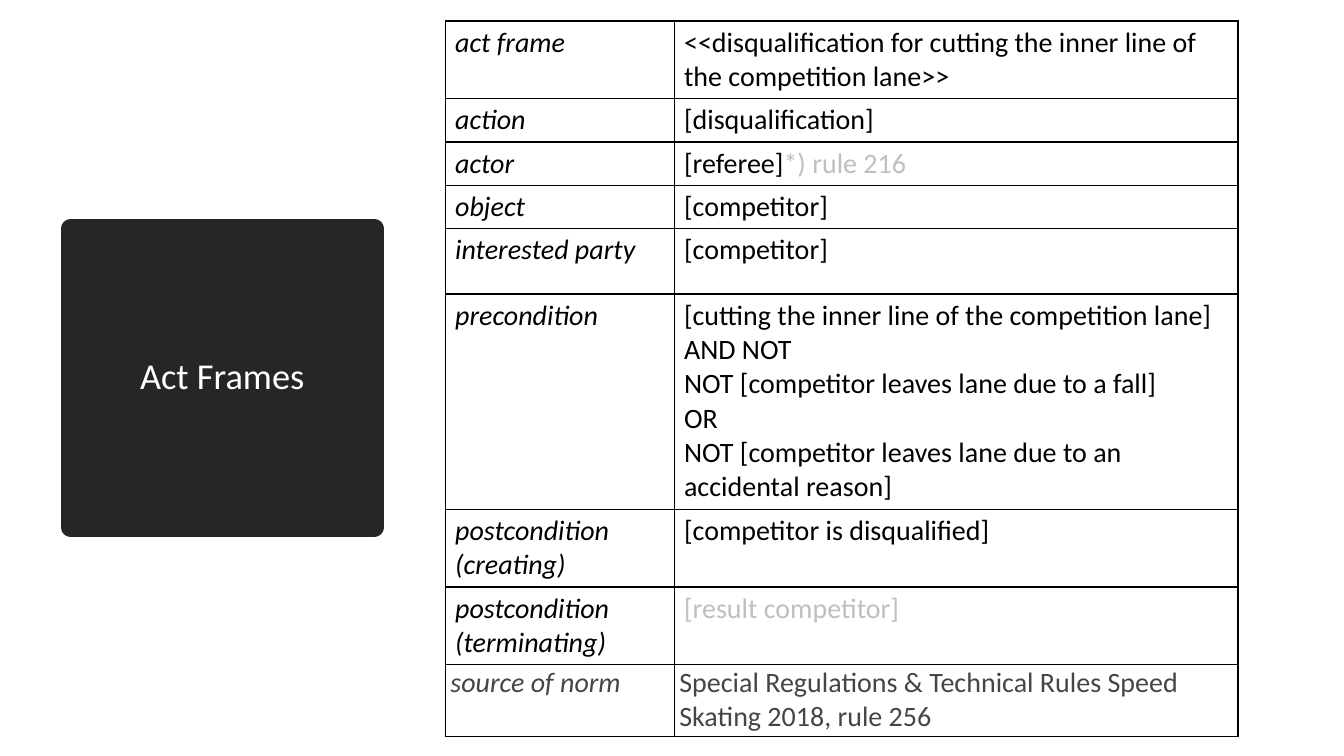
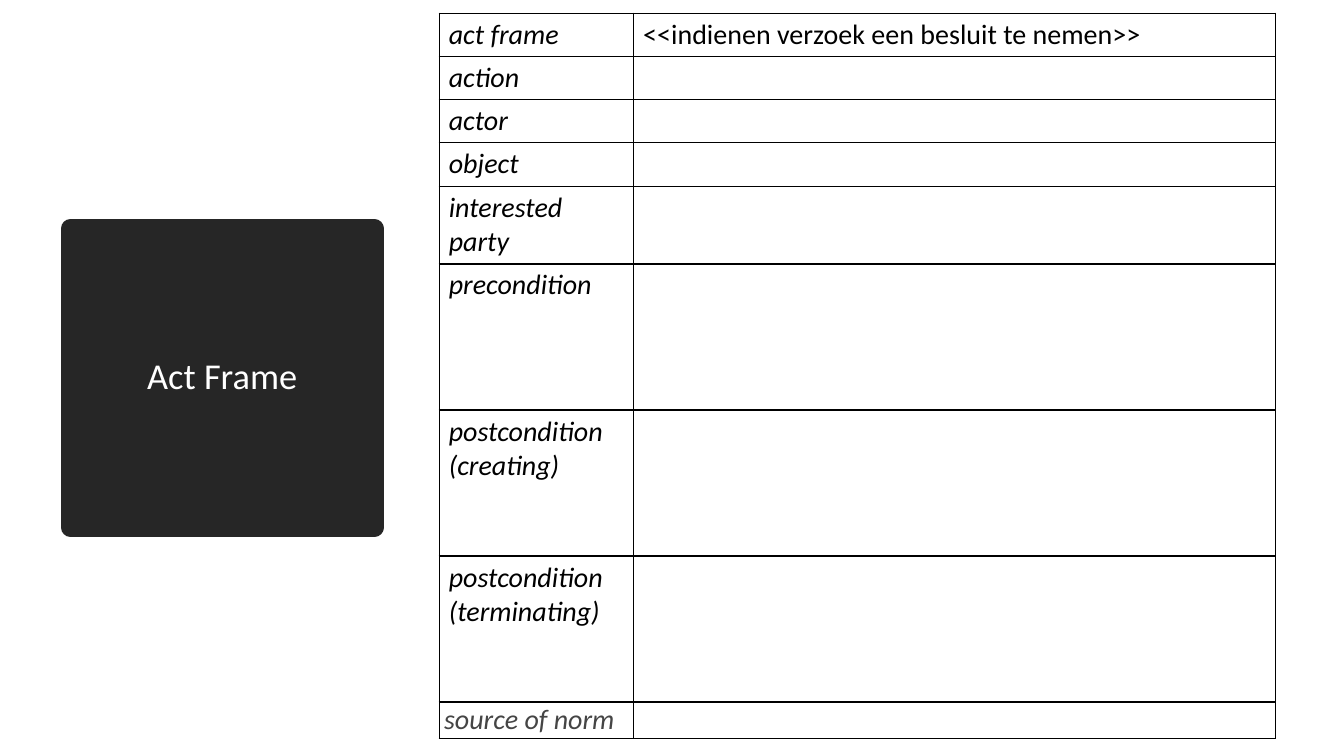
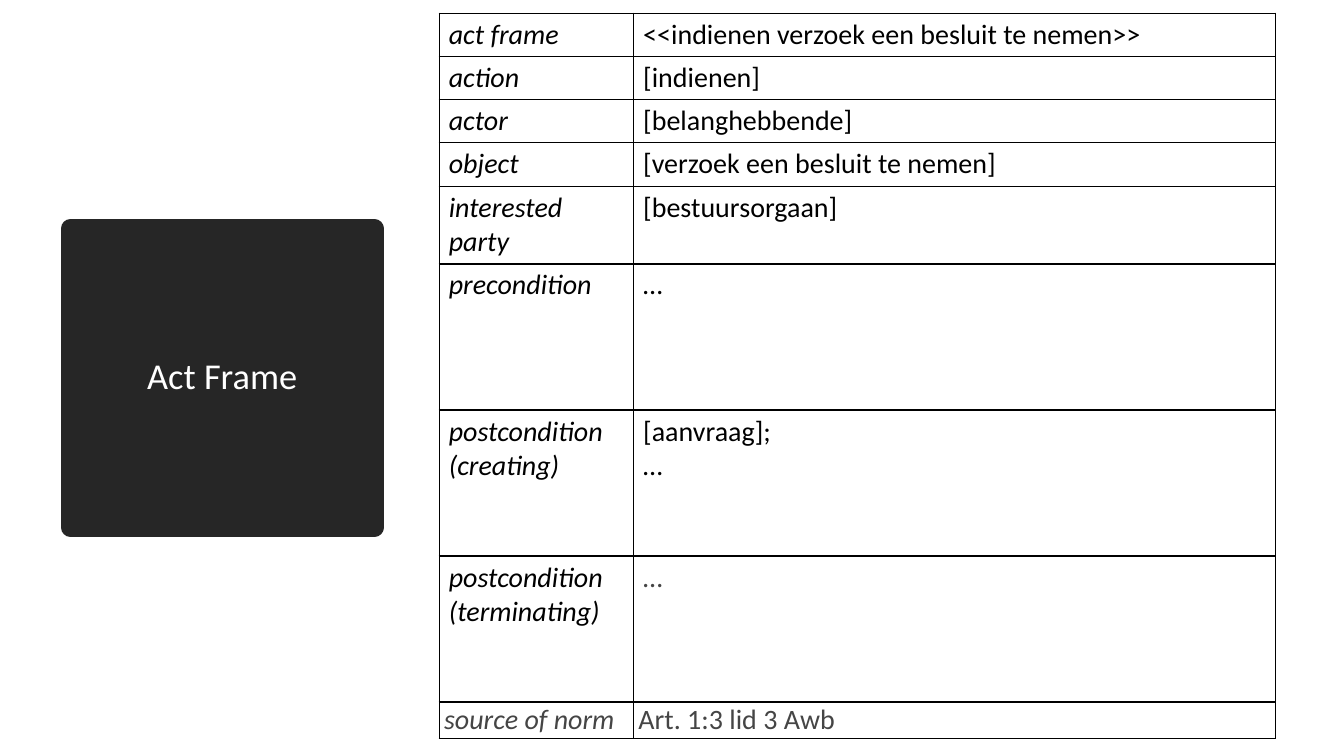
from dataclasses import dataclass

from lxml.etree import SubElement
from pptx import Presentation
from pptx.dml.color import RGBColor
from pptx.enum.text import MSO_ANCHOR, MSO_AUTO_SIZE, PP_ALIGN
from pptx.oxml.ns import qn
from pptx.util import Cm, Pt

# Shared style
COLOURS = {
    "panel": "262626",
    "title": "FFFFFF",
    "text": "000000",
    "muted": "BFBFBF",
    "source": "454545",
    "border": "000000",
}
FONT = "Calibri"
PANEL_BOX = (1.78, 5.76, 7.65, 7.53)
LABELS = [
    "act frame", "action", "actor", "object", "interested party", "precondition",
    "postcondition (creating)", "postcondition (terminating)", "source of norm",
]

# Table geometry in cm: left, top, column widths, row heights
LINE, TWO_LINES, OPEN = 1.09, 1.96, 3.68
SKATING_GRID = (11.23, 0.53, (5.77, 14.2),
                (TWO_LINES, LINE, LINE, LINE, 1.65, 5.42, TWO_LINES, TWO_LINES, 1.8))
REQUEST_GRID = (11.07, 0.33, (4.9, 16.18),
                (LINE, LINE, LINE, LINE, TWO_LINES, OPEN, OPEN, OPEN, 0.92))


@dataclass
class Entry:
    text: str = ""
    tone: str = "text"
    aside: str = ""


def colour(name):
    return RGBColor.from_string(COLOURS[name])


def style_font(font, size, tone, italic=False):
    font.name = FONT
    font.size = Pt(size)
    font.italic = italic
    font.color.rgb = colour(tone)


def add_title_panel(page, text, box):
    panel = page.shapes.title
    panel.left, panel.top, panel.width, panel.height = (Cm(length) for length in box)
    panel.fill.solid()
    panel.fill.fore_color.rgb = colour("panel")
    panel.line.color.rgb = colour("panel")
    panel.line.width = Pt(13.75)
    frame = panel.text_frame
    frame.text = text
    frame.word_wrap = True
    frame.auto_size = MSO_AUTO_SIZE.NONE
    frame.vertical_anchor = MSO_ANCHOR.MIDDLE
    para = frame.paragraphs[0]
    para.alignment = PP_ALIGN.CENTER
    para.line_spacing = 0.9
    style_font(para.font, 26, "title")


def add_borders(cell):
    properties = cell._tc.get_or_add_tcPr()
    for side in ("lnL", "lnR", "lnT", "lnB"):
        line = SubElement(properties, qn(f"a:{side}"), w=str(Pt(1)))
        fill = SubElement(line, qn("a:solidFill"))
        SubElement(fill, qn("a:srgbClr"), val=COLOURS["border"])


def fill_cell(cell, entry, italic, margins):
    add_borders(cell)
    cell.fill.background()
    cell.margin_left = cell.margin_right = Cm(margins[0])
    cell.margin_top = cell.margin_bottom = Cm(margins[1])
    cell.text = entry.text
    for para in cell.text_frame.paragraphs:
        style_font(para.font, 20, entry.tone, italic)
    if entry.aside:
        span = para.add_run()
        span.text = entry.aside
        span.font.color.rgb = colour("muted")


def add_frame_table(page, entries, grid):
    left, top, widths, heights = grid
    table = page.shapes.add_table(
        len(heights), len(widths), Cm(left), Cm(top), Cm(sum(widths)), Cm(sum(heights))
    ).table
    table.first_row = table.horz_banding = False
    for column, width in zip(table.columns, widths):
        column.width = Cm(width)
    for row, height, label, entry in zip(table.rows, heights, LABELS, entries):
        row.height = Cm(height)
        is_source = label == LABELS[-1]
        margins = (0.12, 0.02) if is_source else (0.24, 0.11)
        label_entry = Entry(label, "source" if is_source else "text")
        fill_cell(row.cells[0], label_entry, True, margins)
        fill_cell(row.cells[1], entry, False, margins)


def add_act_frame_page(deck, title, entries, grid):
    page = deck.slides.add_slide(deck.slide_layouts[5])
    add_title_panel(page, title, PANEL_BOX)
    add_frame_table(page, entries, grid)


# Slide content
SKATING = [
    Entry("<<disqualification for cutting the inner line of the competition lane>>"),
    Entry("[disqualification]"),
    Entry("[referee]", aside="*) rule 216"),
    Entry("[competitor]"),
    Entry("[competitor]"),
    Entry("[cutting the inner line of the competition lane]\n"
          "AND NOT\n"
          "NOT [competitor leaves lane due to a fall]\n"
          "OR\n"
          "NOT [competitor leaves lane due to an accidental reason]"),
    Entry("[competitor is disqualified]"),
    Entry("[result competitor]", "muted"),
    Entry("Special Regulations & Technical Rules Speed Skating 2018, rule 256", "source"),
]
REQUEST = [
    Entry("<<indienen verzoek een besluit te nemen>>"),
    Entry("[indienen]"),
    Entry("[belanghebbende]"),
    Entry("[verzoek een besluit te nemen]"),
    Entry("[bestuursorgaan]"),
    Entry("…"),
    Entry("[aanvraag];\n…"),
    Entry("…", "source"),
    Entry("Art. 1:3 lid 3 Awb", "source"),
]
EXERCISE = REQUEST[:1] + [Entry()] * (len(LABELS) - 1)


def main():
    deck = Presentation()
    deck.slide_width, deck.slide_height = Cm(33.87), Cm(19.05)
    add_act_frame_page(deck, "Act Frames", SKATING, SKATING_GRID)
    add_act_frame_page(deck, "Act Frame", EXERCISE, REQUEST_GRID)
    add_act_frame_page(deck, "Act Frame", REQUEST, REQUEST_GRID)
    deck.save("out.pptx")


if __name__ == "__main__":
    main()
